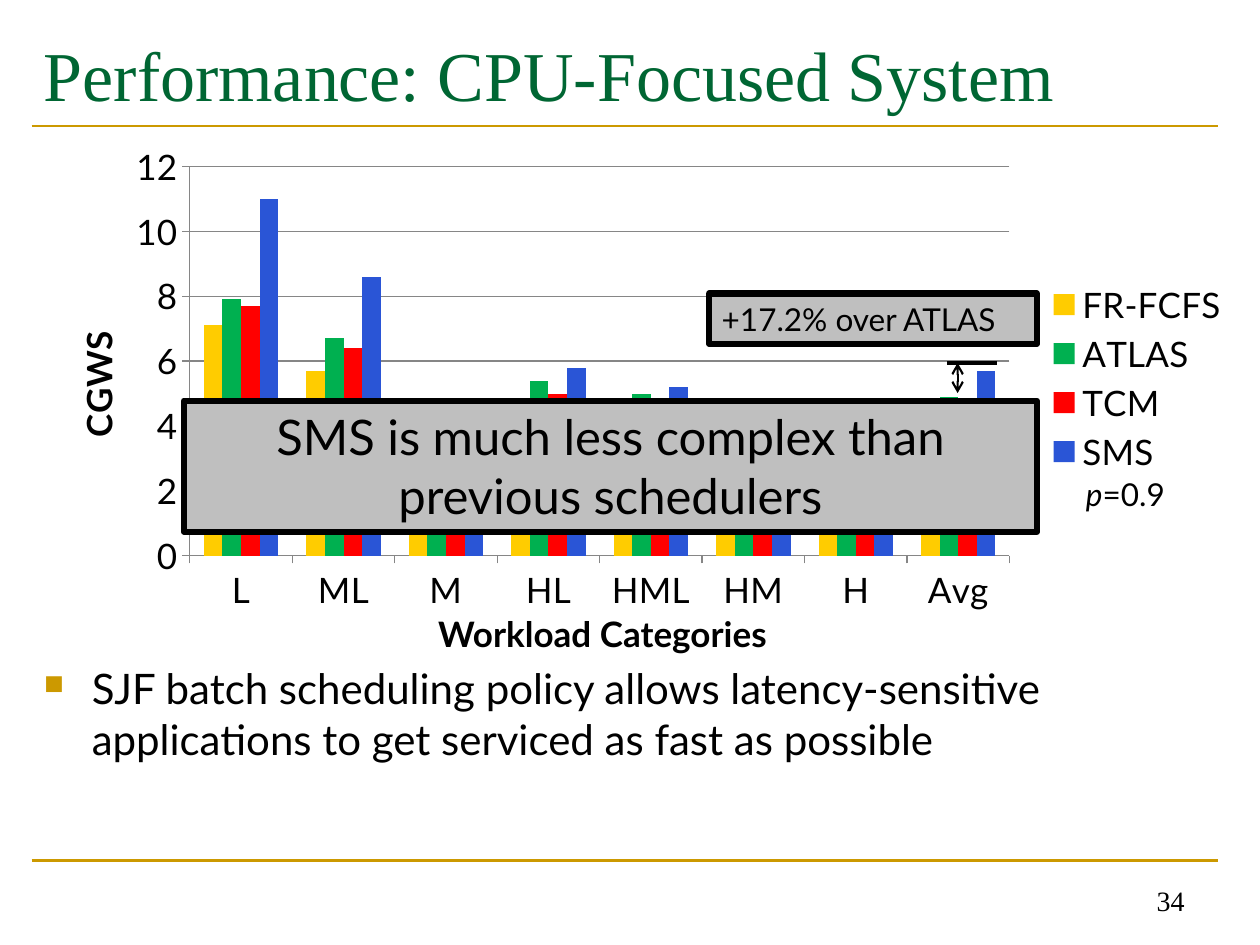
from lxml.etree import SubElement
from pptx import Presentation
from pptx.chart.data import CategoryChartData
from pptx.dml.color import RGBColor
from pptx.enum.chart import XL_CHART_TYPE, XL_LEGEND_POSITION, XL_TICK_MARK
from pptx.enum.shapes import MSO_CONNECTOR, MSO_SHAPE
from pptx.enum.text import MSO_ANCHOR, PP_ALIGN
from pptx.oxml import parse_xml
from pptx.oxml.ns import nsdecls, qn
from pptx.util import Inches, Pt

BLACK = RGBColor(0x00, 0x00, 0x00)
GOLD = RGBColor(0xCC, 0x99, 0x00)
GREEN = RGBColor(0x00, 0x66, 0x33)
GREY = RGBColor(0xBF, 0xBF, 0xBF)
AXIS = RGBColor(0x86, 0x86, 0x86)
SANS, SERIF = "Lato", "Times New Roman"

CATEGORIES = ["L", "ML", "M", "HL", "HML", "HM", "H", "Avg"]
SERIES = [
    ("FR-FCFS", RGBColor(0xFF, 0xCC, 0x00), [7.1, 5.7, 3, 4, 3.6, 2.3, 1.6, 3.9]),
    ("ATLAS", RGBColor(0x00, 0xB0, 0x50), [7.9, 6.7, 4, 5.4, 5, 3.1, 2, 4.9]),
    ("TCM", RGBColor(0xFF, 0x00, 0x00), [7.7, 6.4, 3.6, 5, 4.5, 2.7, 1.9, 4.5]),
    ("SMS", RGBColor(0x2A, 0x55, 0xD6), [11, 8.6, 4.6, 5.8, 5.2, 3, 1.7, 5.7]),
]
CHART_BOX = (0.2, 1.07, 9.61, 3.86)
PLOT_BOX = (1.51, 1.32, 6.51, 3.09)
LEGEND_BOX = (8.25, 2.2, 1.55, 1.6)
AXIS_TITLE_AT = (0.53, 2.58)

# start, end, colour, width in points, arrowheads at both ends
RULES = [((0.25, y), (9.67, y), GOLD, 1.5, False) for y in (1, 6.83)]
GAP_MARKS = [
    ((7.52, 2.88), (7.91, 2.88), BLACK, 2.5, False),
    ((7.6, 3.12), (7.6, 2.88), BLACK, 1.25, True),
]

# box, runs of (text, extra font values), format
TEXTS = [
    ((0.25, 0.17, 9.42, 0.83), [("Performance: CPU-Focused System", {})],
     dict(size=40, name=SERIF, color=GREEN, anchor=MSO_ANCHOR.MIDDLE)),
    ((0.25, 5.21, 9.42, 0.9),
     [("SJF batch scheduling policy allows latency-sensitive applications "
       "to get serviced as fast as possible", {})], dict(size=24, bullet=True)),
    ((7.17, 6.83, 2.33, 0.5), [("34", {})],
     dict(size=16, name=SERIF, align=PP_ALIGN.RIGHT, anchor=MSO_ANCHOR.BOTTOM)),
    ((8.52, 3.72, 1.07, 0.4), [("p", {"italic": True}), ("=0.9", {})], dict(size=18)),
    ((3.38, 4.81, 3.14, 0.44), [("Workload Categories", {"bold": True})],
     dict(size=20, wrap=False)),
]
CALLOUTS = [
    ((5.63, 2.33, 2.6, 0.4), [("+17.2% over ATLAS", {})], dict(size=18)),
    ((1.46, 3.18, 6.77, 1.04),
     [("SMS is much less complex than previous schedulers", {})],
     dict(size=28, align=PP_ALIGN.CENTER)),
]


def set_font(font, color=BLACK, **values):
    """Apply font values and a colour."""
    for key, value in values.items():
        setattr(font, key, value)
    font.color.rgb = color


def write(sp, runs, size, name=SANS, color=BLACK, align=PP_ALIGN.LEFT,
          anchor=MSO_ANCHOR.TOP, wrap=True, bullet=False):
    """Fill a shape with one paragraph of runs."""
    tf = sp.text_frame
    tf.word_wrap, tf.vertical_anchor = wrap, anchor
    p = tf.paragraphs[0]
    p.alignment = align
    if bullet:
        add_bullet(p)
    for text, extra in runs:
        r = p.add_run()
        r.text = text
        set_font(r.font, color, size=Pt(size), name=name, **extra)


def add_bullet(p):
    """Give a paragraph a hanging gold square."""
    pPr = p._p.get_or_add_pPr()
    pPr.set("marL", str(Inches(0.38)))
    pPr.set("indent", str(-Inches(0.38)))
    color = SubElement(pPr, qn("a:buClr"))
    SubElement(color, qn("a:srgbClr"), val=str(GOLD))
    SubElement(pPr, qn("a:buSzPct"), val="65000")
    SubElement(pPr, qn("a:buChar"), char="■")


def add_line(s, start, end, color, width, arrows):
    """Draw a straight line, with arrowheads if asked."""
    line = s.shapes.add_connector(MSO_CONNECTOR.STRAIGHT, *map(Inches, start + end))
    line.line.color.rgb, line.line.width = color, Pt(width)
    if arrows:
        ln = line.line._get_or_add_ln()
        for tag in ("a:headEnd", "a:tailEnd"):
            SubElement(ln, qn(tag), type="arrow")
    SubElement(line._element.spPr, qn("a:effectLst"))


def add_callout(s, box, runs, style):
    """Draw a grey box with a heavy outline."""
    sp = s.shapes.add_shape(MSO_SHAPE.RECTANGLE, *map(Inches, box))
    sp.shadow.inherit = False
    sp.fill.solid()
    sp.fill.fore_color.rgb = GREY
    sp.line.color.rgb, sp.line.width = BLACK, Pt(3.5)
    write(sp, runs, **style)


def place(parent, box, before, inner=False):
    """Fix a chart part at a place on the slide, given in inches."""
    left, top, width, height = CHART_BOX
    values = [("x", (box[0] - left) / width), ("y", (box[1] - top) / height)]
    if len(box) == 4:
        values += [("w", box[2] / width), ("h", box[3] / height)]
    parts = '<c:layoutTarget val="inner"/>' if inner else ""
    parts += '<c:xMode val="edge"/><c:yMode val="edge"/>'
    parts += "".join(f'<c:{key} val="{value:.3f}"/>' for key, value in values)
    for old in parent.findall(qn("c:layout")):
        parent.remove(old)
    layout = parse_xml(f'<c:layout {nsdecls("c")}><c:manualLayout>{parts}'
                       "</c:manualLayout></c:layout>")
    parent.find(qn(before)).addprevious(layout)


def add_performance_chart(s):
    """Add the clustered columns of all schedulers."""
    data = CategoryChartData()
    data.categories = CATEGORIES
    for name, _, values in SERIES:
        data.add_series(name, values)
    chart = s.shapes.add_chart(XL_CHART_TYPE.COLUMN_CLUSTERED,
                               *map(Inches, CHART_BOX), data).chart
    set_font(chart.font, size=Pt(20), name=SANS)
    chart.has_title = False
    plot = chart.plots[0]
    plot.gap_width, plot.overlap, plot.vary_by_categories = 150, 0, False
    for series, (_, color, _) in zip(plot.series, SERIES):
        series.format.fill.solid()
        series.format.fill.fore_color.rgb = color

    values = chart.value_axis
    for axis in (chart.category_axis, values):
        axis.major_tick_mark = XL_TICK_MARK.CROSS if axis is values else XL_TICK_MARK.OUTSIDE
        axis.format.line.color.rgb = AXIS
        set_font(axis.tick_labels.font, size=Pt(20), name=SANS)
    values.major_tick_mark = XL_TICK_MARK.OUTSIDE
    values.minimum_scale, values.maximum_scale, values.major_unit = 0, 12, 2
    values.major_gridlines.format.line.color.rgb = AXIS
    title = values.axis_title
    r = title.text_frame.paragraphs[0].add_run()
    r.text = "CGWS"
    set_font(r.font, size=Pt(20), name=SANS, bold=True)
    title.text_frame._txBody.find(qn("a:bodyPr")).set("rot", "-5400000")

    chart.has_legend = True
    legend = chart.legend
    legend.position, legend.include_in_layout = XL_LEGEND_POSITION.RIGHT, False
    set_font(legend.font, size=Pt(20), name=SANS)
    place(title._element, AXIS_TITLE_AT, "c:overlay")
    place(legend._element, LEGEND_BOX, "c:overlay")
    place(plot._element.getparent(), PLOT_BOX, "c:barChart", inner=True)


prs = Presentation()
prs.slide_width, prs.slide_height = Inches(10), Inches(7.5)
s = prs.slides.add_slide(prs.slide_layouts[6])
for rule in RULES:
    add_line(s, *rule)
add_performance_chart(s)
for mark in GAP_MARKS:
    add_line(s, *mark)
for callout in CALLOUTS:
    add_callout(s, *callout)
for box, runs, style in TEXTS:
    write(s.shapes.add_textbox(*map(Inches, box)), runs, **style)
prs.save("out.pptx")
